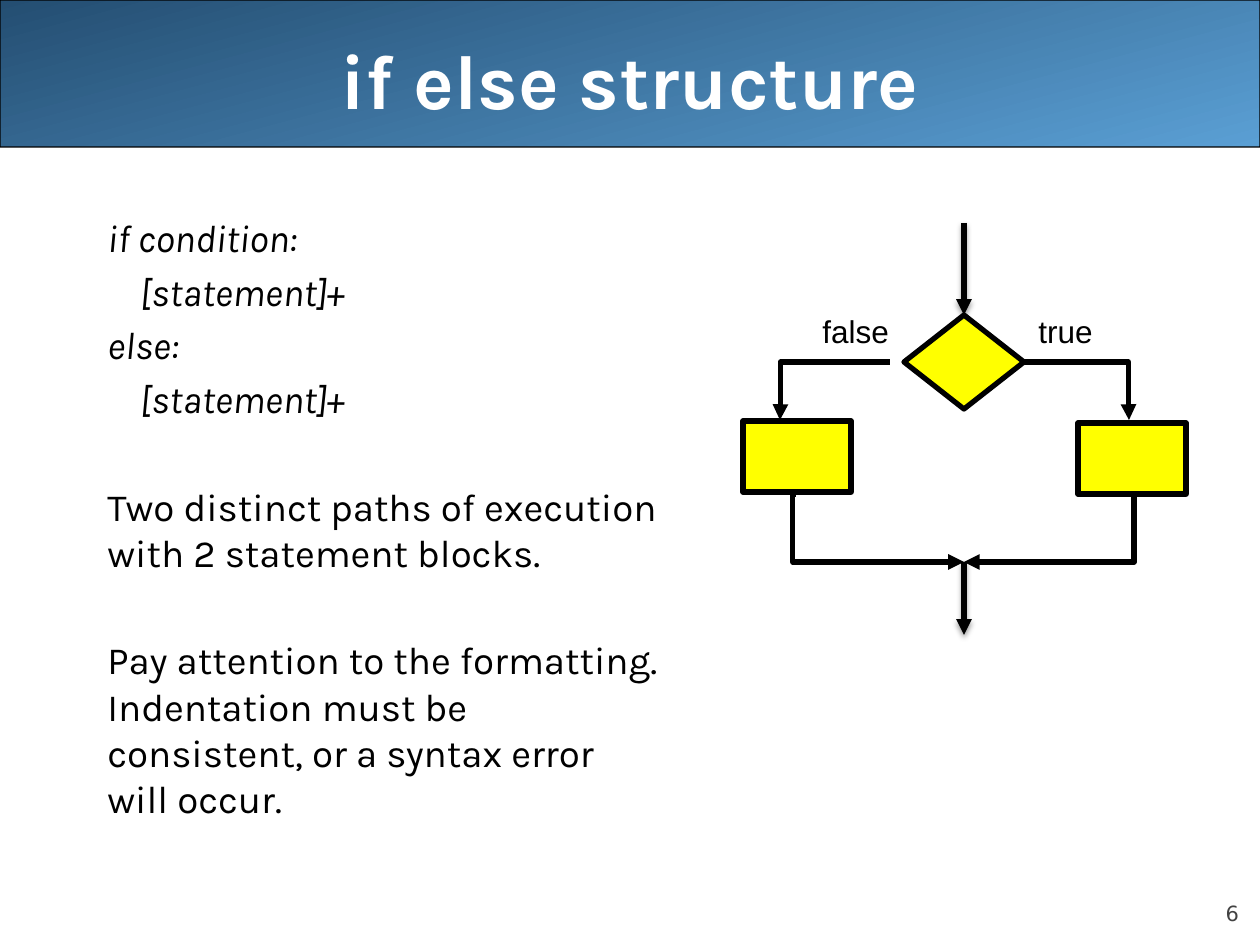
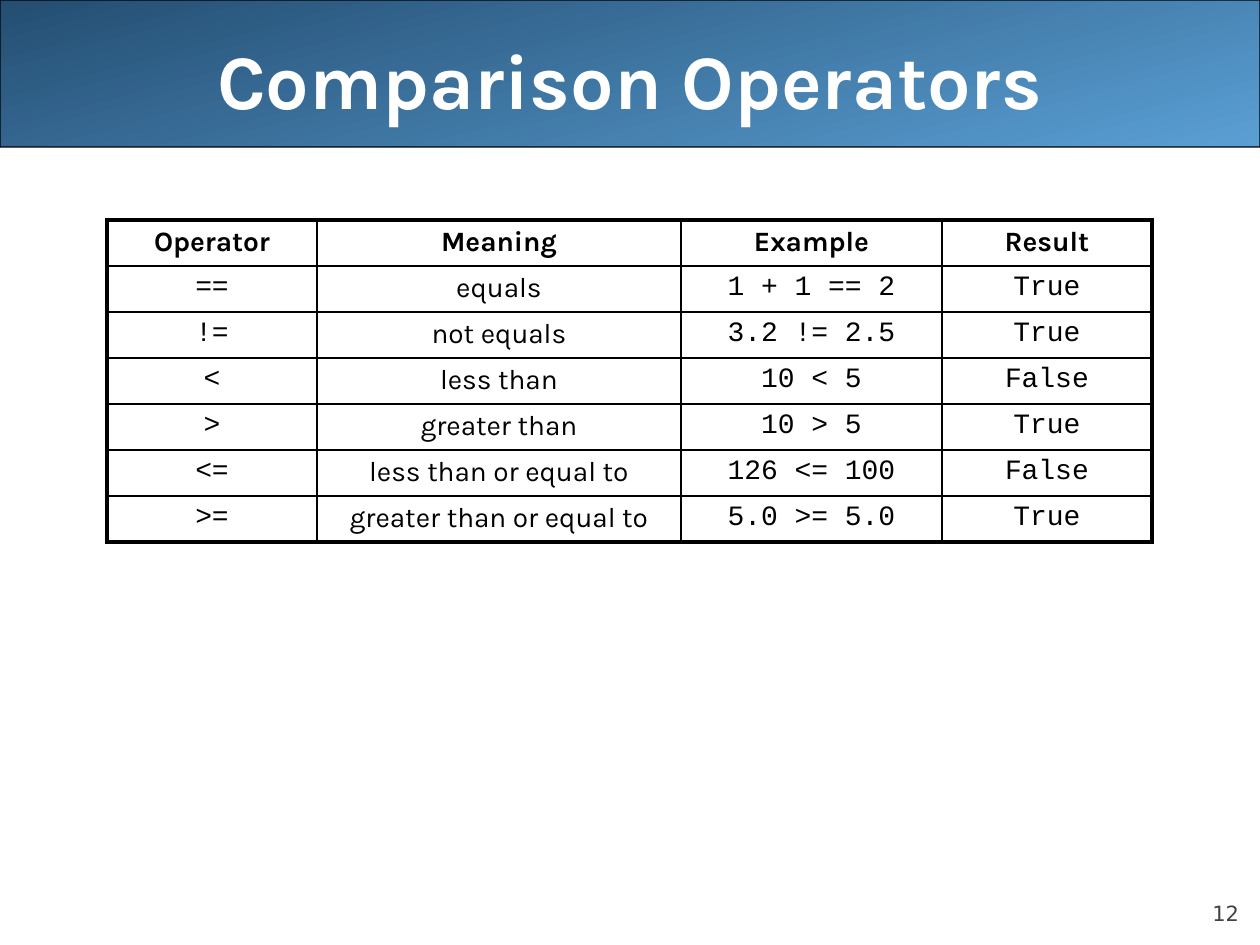
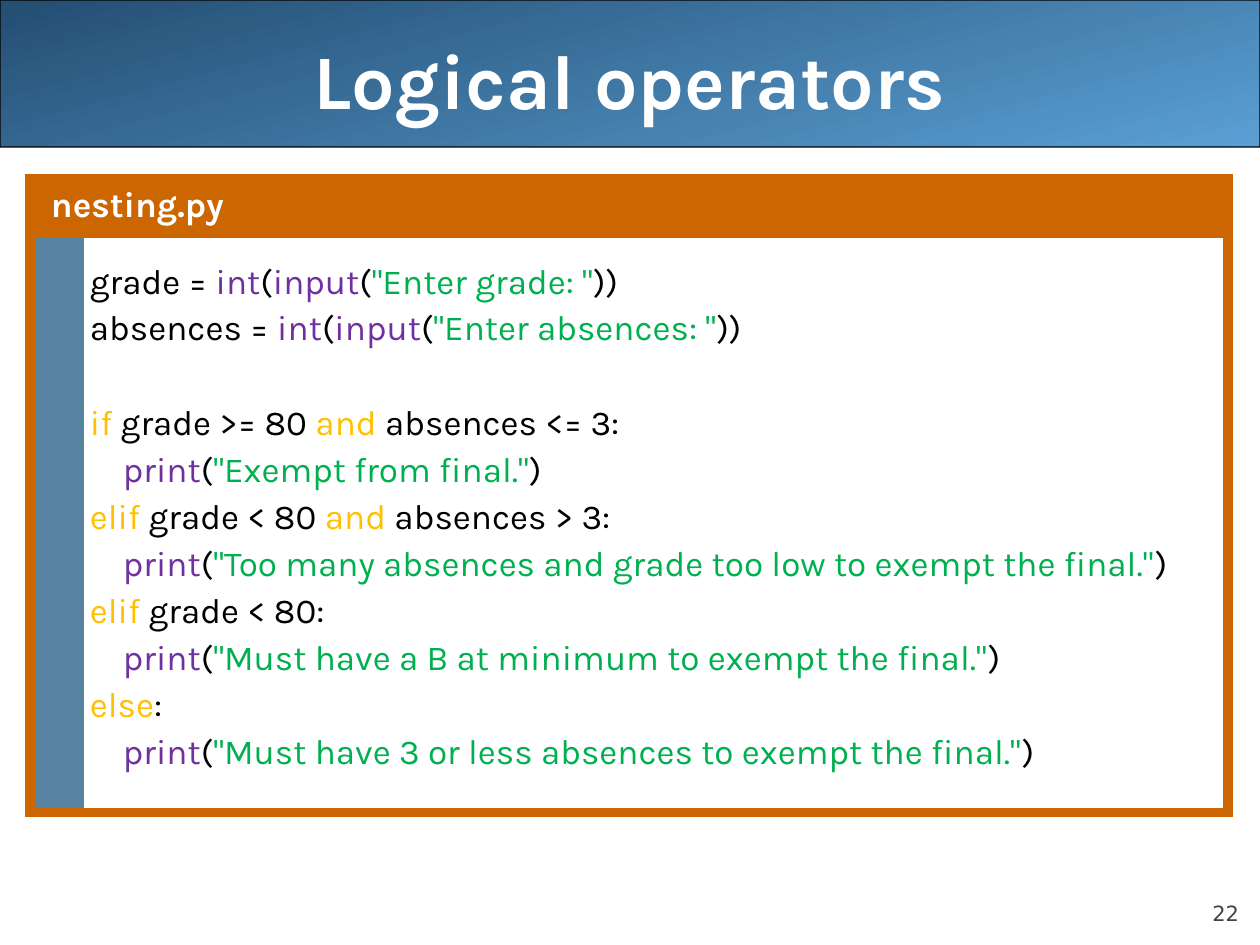
from dataclasses import dataclass, replace

from lxml import etree
from pptx import Presentation
from pptx.dml.color import RGBColor
from pptx.enum.shapes import MSO_CONNECTOR as Link, MSO_SHAPE as Shape
from pptx.enum.text import MSO_ANCHOR as Anchor, PP_ALIGN as Align
from pptx.oxml.ns import qn
from pptx.util import Emu, Pt


@dataclass(frozen=True)
class Style:
    size: int
    font: str = "Karla"
    color: str = "000000"
    bold: bool = False
    italic: bool = False


class Theme:
    black, white = "000000", "FFFFFF"
    band_dark, band_light = "244E72", "5A9FD4"
    block, frame, gutter = "FFFF00", "CC6600", "5784A3"
    code = {"name": black, "call": "7030A0", "text": "00B050", "word": "FFC000"}
    title = Style(44, color=white, bold=True)
    number = Style(12, "DejaVu Sans", "424242")
    body = Style(22)
    syntax = replace(body, italic=True)
    label = Style(18, "Arial")
    cell = Style(16)
    heading = replace(cell, bold=True)
    cell_code = replace(cell, font="Courier New")
    file_name = Style(20, color=white, bold=True)
    code_text = Style(20)
    hairline, thin, medium, thick, frame_line = 0.75, 1, 2.25, 3, 6


# Content: lines are (indent level, starts after a gap, text or spans)
IF_ELSE = [
    (0, False, "if condition:", Theme.syntax),
    (1, False, "[statement]+", Theme.syntax),
    (0, False, "else:", Theme.syntax),
    (1, False, "[statement]+", Theme.syntax),
    (0, True, "Two distinct paths of execution with 2 statement blocks.", Theme.body),
    (0, True, "Pay attention to the formatting. Indentation must be consistent, "
              "or a syntax error will occur.", Theme.body),
]

OPERATORS = [
    ("Operator", "Meaning", "Example", "Result"),
    ("==", "equals", "1 + 1 == 2", "True"),
    ("!=", "not equals", "3.2 != 2.5", "True"),
    ("<", "less than", "10 < 5", "False"),
    (">", "greater than", "10 > 5", "True"),
    ("<=", "less than or equal to", "126 <= 100", "False"),
    (">=", "greater than or equal to", "5.0 >= 5.0", "True"),
]


def ask(variable, prompt):
    return [("name", f"{variable} = "), ("call", "int"), ("name", "("), ("call", "input"),
            ("name", "("), ("text", f'"{prompt}"'), ("name", "))")]


def show(message):
    return [("call", "print"), ("name", "("), ("text", f'"{message}"'), ("name", ")")]


NESTING = [
    (0, False, ask("grade", "Enter grade: ")),
    (0, False, ask("absences", "Enter absences: ")),
    (0, True, [("word", "if "), ("name", "grade >= 80 "), ("word", "and"),
               ("name", " absences <= 3:")]),
    (1, False, show("Exempt from final.")),
    (0, False, [("word", "elif"), ("name", " grade < 80 "), ("word", "and"),
                ("name", " absences > 3:")]),
    (1, False, show("Too many absences and grade too low to exempt the final.")),
    (0, False, [("word", "elif"), ("name", " grade < 80:")]),
    (1, False, show("Must have a B at minimum to exempt the final.")),
    (0, False, [("word", "else"), ("name", ":")]),
    (1, False, show("Must have 3 or less absences to exempt the final.")),
]

# Lengths in px, 126 to the inch
PAGE_WIDTH, PAGE_HEIGHT = 1260, 945
INDENT = 33
CELL_INSETS = (13, 6, 13, 6)


def px(length):
    return Emu(round(length * 914400 / 126))


def rgb(color):
    return RGBColor.from_string(color)


# Text
def format_run(run, style):
    font = run.font
    font.size, font.name = Pt(style.size), style.font
    font.bold, font.italic = style.bold, style.italic
    font.color.rgb = rgb(style.color)


def write_para(para, text, style, align=Align.LEFT, before=0, indent=0):
    para.text = text
    para.alignment, para.space_before = align, Pt(before)
    if indent:
        para._p.get_or_add_pPr().set("marL", str(px(indent)))
    for run in para.runs:
        format_run(run, style)


def each_para(frame, count):
    yield frame.paragraphs[0]
    for _ in range(count - 1):
        yield frame.add_paragraph()


def add_text(page, area, text, style, align=Align.LEFT, anchor=Anchor.TOP,
             insets=CELL_INSETS):
    box = page.shapes.add_textbox(*map(px, area))
    frame = box.text_frame
    frame.word_wrap, frame.vertical_anchor = True, anchor
    set_insets(frame, insets)
    write_para(frame.paragraphs[0], text, style, align)
    return box


def set_insets(holder, insets):
    holder.margin_left, holder.margin_top, holder.margin_right, holder.margin_bottom = map(px, insets)


# Shapes and lines
def add_block(page, kind, area, fill=None, line=Theme.black, width=Theme.thick):
    block = page.shapes.add_shape(kind, *map(px, area))
    block.shadow.inherit = False
    if fill:
        block.fill.solid()
        block.fill.fore_color.rgb = rgb(fill)
    else:
        block.fill.background()
    block.line.color.rgb, block.line.width = rgb(line), Pt(width)
    return block


def add_arrow(page, kind, start, end, bend=None, shadow=False):
    arrow = page.shapes.add_connector(kind, *map(px, start + end))
    arrow.line.color.rgb, arrow.line.width = rgb(Theme.black), Pt(Theme.thick)
    etree.SubElement(arrow.line._get_or_add_ln(), qn("a:tailEnd"), type="triangle")
    properties = arrow._element.spPr
    effects = etree.SubElement(properties, qn("a:effectLst"))
    if shadow:
        cast = etree.SubElement(effects, qn("a:outerShdw"), blurRad=str(Pt(3.1)),
                                dist=str(Pt(1.6)), dir="5400000", rotWithShape="0")
        tint = etree.SubElement(cast, qn("a:srgbClr"), val=Theme.black)
        etree.SubElement(tint, qn("a:alpha"), val="38000")
    if bend is not None:
        guides = properties.find(qn("a:prstGeom")).get_or_add_avLst()
        etree.SubElement(guides, qn("a:gd"), name="adj1", fmla=f"val {bend}")
    return arrow


# Tables
def add_grid(page, left, top, columns, rows):
    holder = page.shapes.add_table(len(rows), len(columns), px(left), px(top),
                                   px(sum(columns)), px(sum(rows)))
    grid = holder.table
    grid.first_row = grid.horz_banding = False
    for column, width in zip(grid.columns, columns):
        column.width = px(width)
    for row, height in zip(grid.rows, rows):
        row.height = px(height)
    return grid


def style_cell(cell, borders, color, fill=None, insets=CELL_INSETS):
    """Borders are widths in points for left, right, top, bottom; 0 hides one."""
    set_insets(cell, insets)
    if fill:
        cell.fill.solid()
        cell.fill.fore_color.rgb = rgb(fill)
    else:
        cell.fill.background()
    properties = cell._tc.get_or_add_tcPr()
    for place, (side, width) in enumerate(zip("LRTB", borders)):
        line = etree.Element(qn(f"a:ln{side}"), w=str(Pt(width)))
        if width:
            paint = etree.SubElement(line, qn("a:solidFill"))
            etree.SubElement(paint, qn("a:srgbClr"), val=color)
        else:
            etree.SubElement(line, qn("a:noFill"))
        properties.insert(place, line)


# Shared page: band, number, title
def add_page(deck, title, number):
    page = deck.slides.add_slide(deck.slide_layouts[6])
    band = add_block(page, Shape.ROUNDED_RECTANGLE, (0, 0, PAGE_WIDTH, 147),
                     Theme.band_dark, width=Theme.hairline)
    band.adjustments[0] = 0.001
    band.fill.gradient()
    band.fill.gradient_angle = 285
    for stop, color in zip(band.fill.gradient_stops, (Theme.band_dark, Theme.band_light)):
        stop.color.rgb = rgb(color)
    add_text(page, (1134, 876, 105, 50), str(number), Theme.number, Align.RIGHT,
             Anchor.BOTTOM, (0, 0, 0, 0))
    add_text(page, (63, 0, 1134, 158), title, Theme.title, Align.CENTER, Anchor.MIDDLE)
    return page


def build_if_else(deck):
    page = add_page(deck, "if else structure", 6)
    box = page.shapes.add_textbox(*map(px, (95, 208, 577, 640)))
    frame = box.text_frame
    frame.word_wrap = True
    for para, (level, gap, text, style) in zip(each_para(frame, len(IF_ELSE)), IF_ELSE):
        write_para(para, text, style, before=35.2 if gap else 4.2, indent=level * INDENT)

    # Flowchart: decision, two branches, merge point
    middle, branch_top, merge_top = 964, 362, 562
    decision = add_block(page, Shape.DIAMOND, (middle - 60, 315, 120, 94), Theme.block)
    entry = add_arrow(page, Link.STRAIGHT, (middle, 223), (middle, 315), shadow=True)
    entry.end_connect(decision, 0)
    add_arrow(page, Link.STRAIGHT, (middle, merge_top), (middle, 635), shadow=True)
    branches = [
        ("false", (810, 306, 92, 50), (743, 421), 890, 780, 796),
        ("true", (1026, 306, 81, 50), (1078, 423), 1020, 1129, 1131),
    ]
    for label, label_area, corner, start, above, below in branches:
        tag = add_block(page, Shape.RECTANGLE, label_area, line=Theme.white,
                        width=Theme.hairline)
        tag.text_frame.word_wrap = False
        write_para(tag.text_frame.paragraphs[0], label, Theme.label)
        add_arrow(page, Link.ELBOW, (start, branch_top), (above, 420), 99600)
        add_arrow(page, Link.ELBOW, (below, 494), (middle, merge_top), -1900)
        add_block(page, Shape.RECTANGLE, corner + (108, 71), Theme.block)


def build_operators(deck):
    page = add_page(deck, "Comparison Operators", 12)
    columns, rows = (210, 364, 261, 210), [46] * len(OPERATORS)
    grid = add_grid(page, 107, 220, columns, rows)
    last_row, last_column = len(rows) - 1, len(columns) - 1
    for r, record in enumerate(OPERATORS):
        for c, text in enumerate(record):
            cell = grid.cell(r, c)
            outer = (c == 0, c == last_column, r == 0, r == last_row)
            borders = [Theme.medium if edge else Theme.thin for edge in outer]
            style_cell(cell, borders, Theme.black)
            style = Theme.heading if r == 0 else Theme.cell if c == 1 else Theme.cell_code
            write_para(cell.text_frame.paragraphs[0], text, style, Align.CENTER, 3.2)


def build_nesting(deck):
    page = add_page(deck, "Logical operators", 22)
    grid = add_grid(page, 30, 179, (54, 1144), (53, 576))
    header, gutter, listing = grid.cell(0, 0), grid.cell(1, 0), grid.cell(1, 1)
    header.merge(grid.cell(0, 1))
    edge = Theme.frame_line
    for cell in (header, grid.cell(0, 1)):
        style_cell(cell, (edge,) * 4, Theme.frame, Theme.frame, (6, 6, 6, 6))
    style_cell(gutter, (edge, 0, edge, edge), Theme.frame, Theme.gutter)
    style_cell(listing, (0, edge, edge, edge), Theme.frame, Theme.white, (6, 29, 23, 29))
    write_para(header.text_frame.paragraphs[0], "nesting.py", Theme.file_name,
               before=3.4, indent=15)

    # Code lines, coloured by the kind of each span
    paras = each_para(listing.text_frame, len(NESTING))
    for para, (level, gap, spans) in zip(paras, NESTING):
        write_para(para, "", Theme.code_text, before=30.8 if gap else 3.4,
                   indent=level * INDENT)
        for kind, text in spans:
            span = para.add_run()
            span.text = text
            format_run(span, replace(Theme.code_text, color=Theme.code[kind]))


def main():
    deck = Presentation()
    deck.slide_width, deck.slide_height = px(PAGE_WIDTH), px(PAGE_HEIGHT)
    build_if_else(deck)
    build_operators(deck)
    build_nesting(deck)
    deck.save("out.pptx")


if __name__ == "__main__":
    main()
